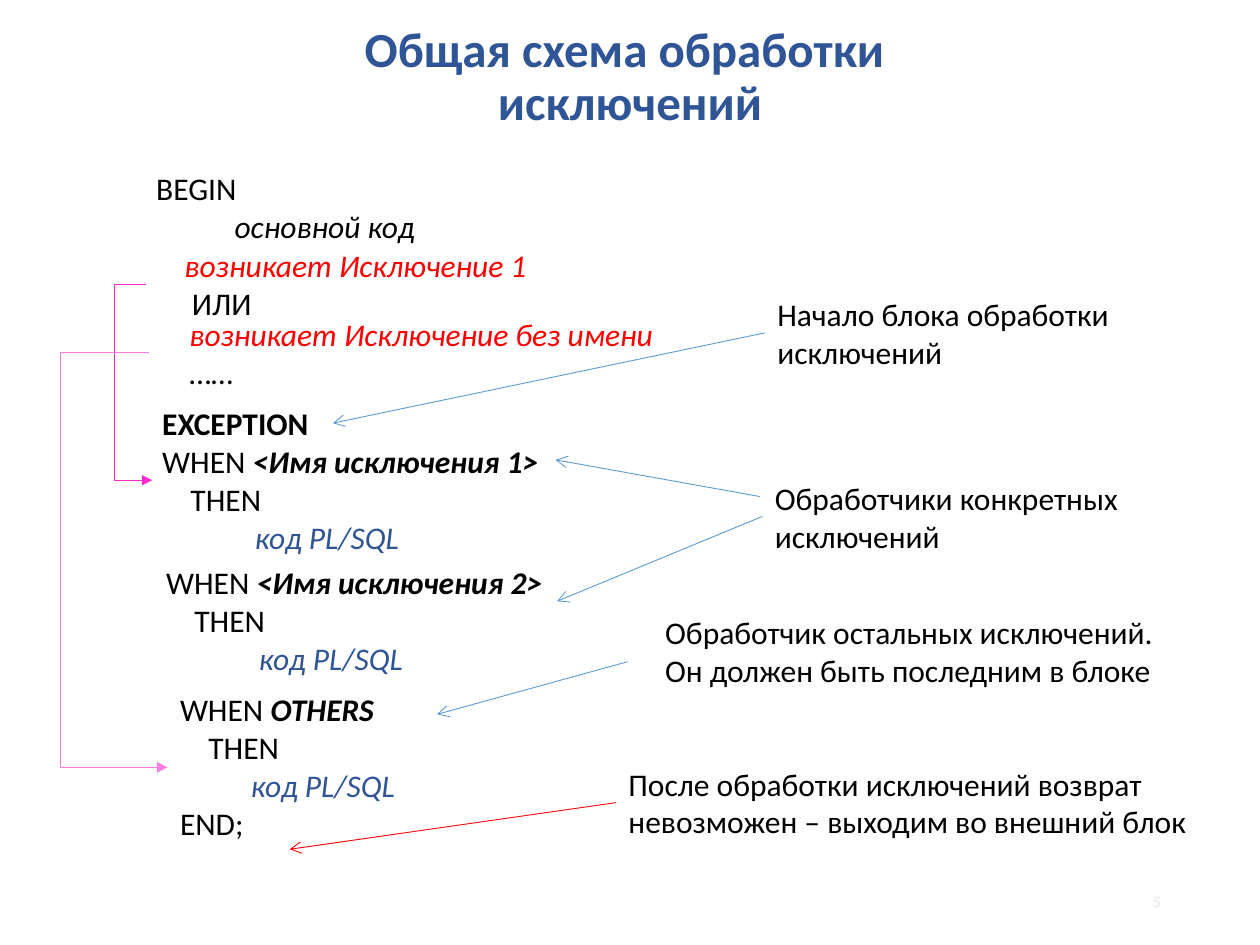
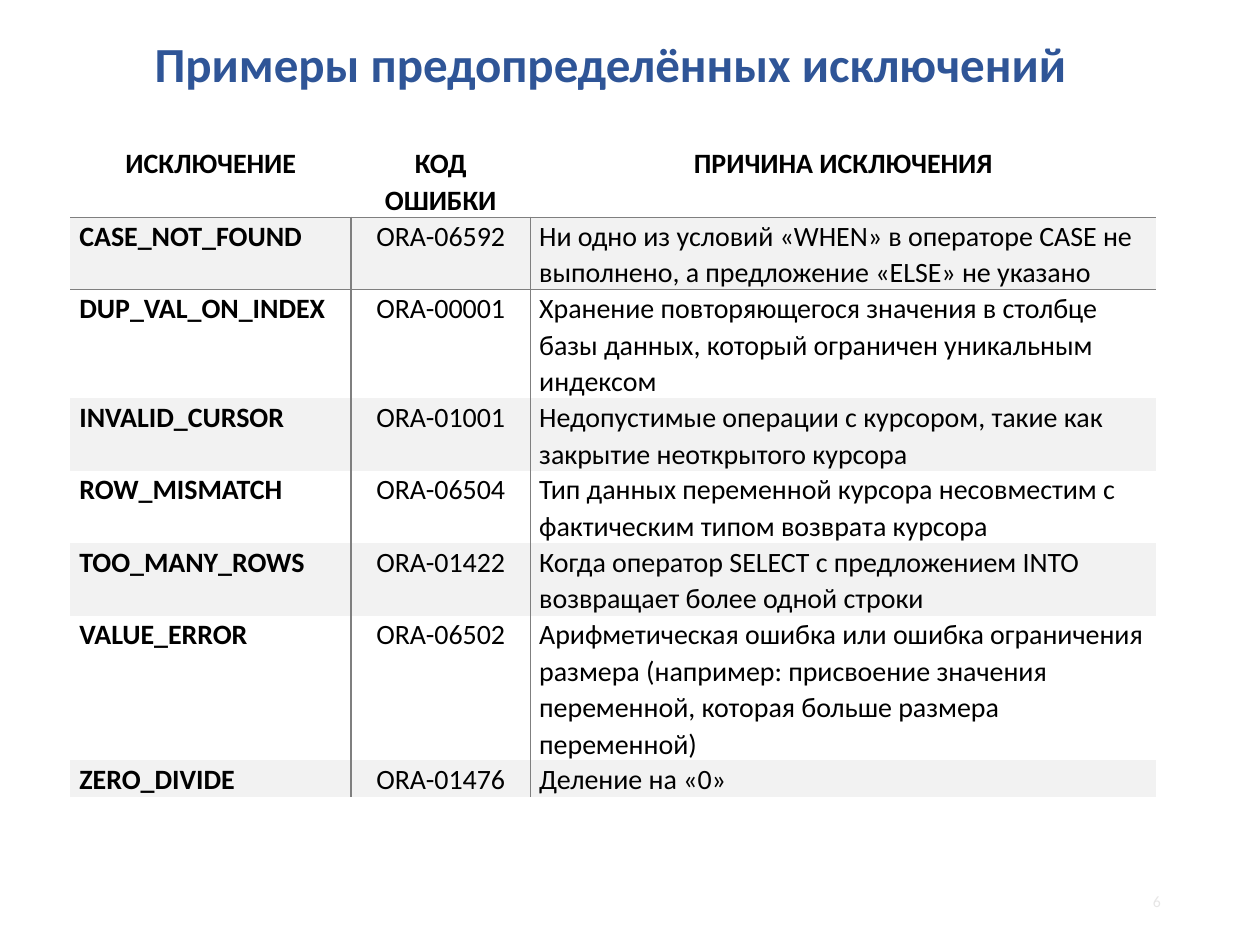
"""Build two slides on exception handling in PL/SQL."""
from lxml import etree
from pptx import Presentation
from pptx.dml.color import RGBColor
from pptx.enum.shapes import MSO_CONNECTOR
from pptx.enum.text import MSO_ANCHOR, PP_ALIGN
from pptx.oxml.ns import qn
from pptx.util import Cm, Pt

LEFT, MID, RIGHT = PP_ALIGN.LEFT, PP_ALIGN.CENTER, PP_ALIGN.RIGHT
TOP, CENTRE, BASE = MSO_ANCHOR.TOP, MSO_ANCHOR.MIDDLE, MSO_ANCHOR.BOTTOM
LINE, ELBOW = MSO_CONNECTOR.STRAIGHT, MSO_CONNECTOR.ELBOW

BLACK = RGBColor(0x00, 0x00, 0x00)
NAVY = RGBColor(0x2F, 0x55, 0x97)
BLUE = RGBColor(0x5B, 0x9B, 0xD5)
RED = RGBColor(0xFF, 0x00, 0x00)
PINK = RGBColor(0xFA, 0x2A, 0xCD)
ROSE = RGBColor(0xFC, 0x7C, 0xE1)
GREY = RGBColor(0x7F, 0x7F, 0x7F)
PALE = RGBColor(0xF2, 0xF2, 0xF2)
FAINT = RGBColor(0xE7, 0xE6, 0xE6)
FONT = "Calibri"
PLAIN_GRID = "{2D5ABB26-0587-4C30-8999-92F81FD0307C}"

STYLES = {
    "plain": (BLACK, False, False),
    "bold": (BLACK, True, False),
    "name": (BLACK, True, True),
    "note": (BLACK, False, True),
    "raise": (RED, False, True),
    "code": (NAVY, False, True),
    "title": (NAVY, True, False),
    "page": (FAINT, False, False),
}

THEN = (0.57, [("THEN", "plain")])
BODY = [("код PL/SQL", "code")]


def when(name):
    return 0, [("WHEN ", "plain"), (name, "name")]


CODE = [
    (2.9, 3.28, 5.79, [(0, [("BEGIN", "plain")]),
                       (1.58, [("основной код", "note")])]),
    (3.02, 8.03, 8.23, [(0, [("EXCEPTION", "bold")]),
                        when("<Имя исключения 1>"), THEN, (1.87, BODY)]),
    (3.1, 11.23, 8.23, [when("<Имя исключения 2>"), THEN, (1.87, BODY)]),
    (3.38, 13.79, 4.93, [when("OTHERS"), THEN, (1.43, BODY),
                         (0, [("END;", "plain")])]),
    (2.9, 4.83, 8.08, [(0.57, [("возникает Исключение 1", "raise")]),
                       (0.72, [("ИЛИ", "plain")])]),
    (3.0, 6.22, 10.57, [(0.57, [("возникает Исключение без имени", "raise")]),
                        (0.57, [("……", "plain")])]),
]

NOTES = [
    (15.42, 5.82, 8.41, ["Начало блока обработки исключений"]),
    (15.37, 9.53, 8.41, ["Обработчики конкретных исключений"]),
    (13.16, 12.24, 11.94, ["Обработчик остальных исключений.",
                           "Он должен быть последним в блоке"]),
    (12.42, 15.29, 12.55, ["После обработки исключений возврат невозможен "
                           "– выходим во внешний блок"]),
]

ARROWS = [
    ((15.42, 6.71), (6.71, 8.53), BLUE),
    ((15.32, 10.01), (11.2, 9.27), BLUE),
    ((15.37, 10.41), (11.23, 12.12), BLUE),
    ((12.65, 13.34), (8.81, 14.4), BLUE),
    ((12.42, 16.18), (5.84, 17.12), RED),
]

JUMPS = [
    ((2.95, 5.74), (3.07, 9.68), 2.31, PINK),
    ((3.0, 7.11), (3.38, 15.47), 1.22, ROSE),
]

HEAD = ("ИСКЛЮЧЕНИЕ", "КОД ОШИБКИ", "ПРИЧИНА ИСКЛЮЧЕНИЯ")
ERRORS = [
    ("CASE_NOT_FOUND", "ORA-06592", "Ни одно из условий «WHEN» в операторе "
     "CASE не выполнено, а предложение «ELSE» не указано"),
    ("DUP_VAL_ON_INDEX", "ORA-00001", "Хранение повторяющегося значения в "
     "столбце базы данных, который ограничен уникальным индексом"),
    ("INVALID_CURSOR", "ORA-01001", "Недопустимые операции с курсором, "
     "такие как закрытие неоткрытого курсора"),
    ("ROW_MISMATCH", "ORA-06504", "Тип данных переменной курсора "
     "несовместим с фактическим типом возврата курсора"),
    ("TOO_MANY_ROWS", "ORA-01422", "Когда оператор SELECT с предложением "
     "INTO возвращает более одной строки"),
    ("VALUE_ERROR", "ORA-06502", "Арифметическая ошибка или ошибка "
     "ограничения размера (например: присвоение значения переменной, "
     "которая больше размера переменной)"),
    ("ZERO_DIVIDE", "ORA-01476", "Деление на «0»"),
]
WIDTHS = (5.66, 3.61, 12.62)
LINES = (2, 2, 3, 2, 2, 2, 4, 1)


def write(frame, paras, size=18, align=LEFT, space=None):
    for i, (indent, runs) in enumerate(paras):
        para = frame.paragraphs[0] if i == 0 else frame.add_paragraph()
        para.alignment = align
        para.line_spacing = space
        if indent:
            para._p.get_or_add_pPr().set("marL", str(Cm(indent)))
        for j, (text, style) in enumerate(runs):
            for k, part in enumerate(text.split("\n")):
                if k:
                    para.add_line_break()
                run = para.add_run()
                run.text = part
                font = run.font
                font.name, font.size = FONT, Pt(size)
                font.color.rgb, font.bold, font.italic = STYLES[style]


def add_text(slide, box, paras, wrap=True, anchor=TOP, **form):
    frame = slide.shapes.add_textbox(*map(Cm, box)).text_frame
    frame.word_wrap = wrap
    frame.vertical_anchor = anchor
    write(frame, paras, **form)


def add_line(slide, start, end, color, kind=LINE, head="arrow"):
    link = slide.shapes.add_connector(kind, *map(Cm, start + end))
    link.line.color.rgb = color
    link.line.width = Pt(0.5)
    etree.SubElement(link.line._get_or_add_ln(), qn("a:tailEnd"), type=head)
    etree.SubElement(link._element.spPr, qn("a:effectLst"))
    return link


def add_jump(slide, start, end, turn, color):
    link = add_line(slide, start, end, color, ELBOW, "triangle")
    ratio = (turn - start[0]) / (end[0] - start[0])
    geom = link._element.spPr.find(qn("a:prstGeom"))
    guides = geom.find(qn("a:avLst"))
    if guides is None:
        guides = etree.SubElement(geom, qn("a:avLst"))
    etree.SubElement(guides, qn("a:gd"), name="adj1",
                     fmla=f"val {round(ratio * 100000)}")


def add_edge(cell, side):
    edge = etree.Element(qn("a:" + side), w=str(Pt(1)))
    fill = etree.SubElement(edge, qn("a:solidFill"))
    etree.SubElement(fill, qn("a:srgbClr"), val=str(GREY))
    cell._tc.get_or_add_tcPr().insert(0, edge)


def add_grid(slide):
    rows = [HEAD] + ERRORS
    step = 0.73
    frame = slide.shapes.add_table(len(rows), len(WIDTHS), Cm(1.42), Cm(2.92),
                                   Cm(sum(WIDTHS)), Cm(step * sum(LINES)))
    grid = frame.table
    grid.first_row = grid.horz_banding = False
    grid._tbl.tblPr.find(qn("a:tableStyleId")).text = PLAIN_GRID
    for col, width in zip(grid.columns, WIDTHS):
        col.width = Cm(width)
    for r, row in enumerate(rows):
        grid.rows[r].height = Cm(step * LINES[r])
        for c, text in enumerate(row):
            cell = grid.cell(r, c)
            cell.margin_left = cell.margin_right = Cm(0.18)
            cell.margin_top = cell.margin_bottom = 0
            if r % 2:
                cell.fill.solid()
                cell.fill.fore_color.rgb = PALE
            else:
                cell.fill.background()
            style = "bold" if r == 0 or c == 0 else "plain"
            align = MID if r == 0 or c == 1 else LEFT
            write(cell.text_frame, [(0, [(text, style)])], size=16,
                  align=align, space=1.07)
            if r == 0:
                add_edge(cell, "lnB")
            elif c == 0:
                add_edge(cell, "lnR")
            elif c == 1:
                add_edge(cell, "lnL")
            if r == 1:
                add_edge_top(cell)


def add_edge_top(cell):
    add_edge(cell, "lnT")
    props = cell._tc.tcPr
    order = ("lnL", "lnR", "lnT")
    edges = [props.find(qn("a:" + side)) for side in order]
    for i, edge in enumerate(e for e in edges if e is not None):
        props.insert(i, edge)


def add_page(deck, title, box, number):
    slide = deck.slides.add_slide(deck.slide_layouts[6])
    add_text(slide, box, [(0, [(title, "title")])], anchor=BASE, size=28,
             align=MID, space=0.9)
    add_text(slide, (21, 17.66, 2.65, 1), [(0, [(number, "page")])],
             anchor=CENTRE, size=9, align=RIGHT)
    return slide


deck = Presentation()
deck.slide_width, deck.slide_height = Cm(25.4), Cm(19.05)

flow = add_page(deck, "Общая схема обработки \nисключений",
                (1.7, 0.41, 22, 2.36), "5")
for x, y, width, paras in CODE:
    add_text(flow, (x, y, width, 0.76 * len(paras) + 0.28), paras, wrap=False)
for x, y, width, texts in NOTES:
    add_text(flow, (x, y, width, 1.8), [(0, [(t, "plain")]) for t in texts])
for arrow in ARROWS:
    add_line(flow, *arrow)
for jump in JUMPS:
    add_jump(flow, *jump)

add_grid(add_page(deck, "Примеры предопределённых исключений",
                  (1.3, 0.56, 22, 1.45), "6"))
deck.save("out.pptx")
